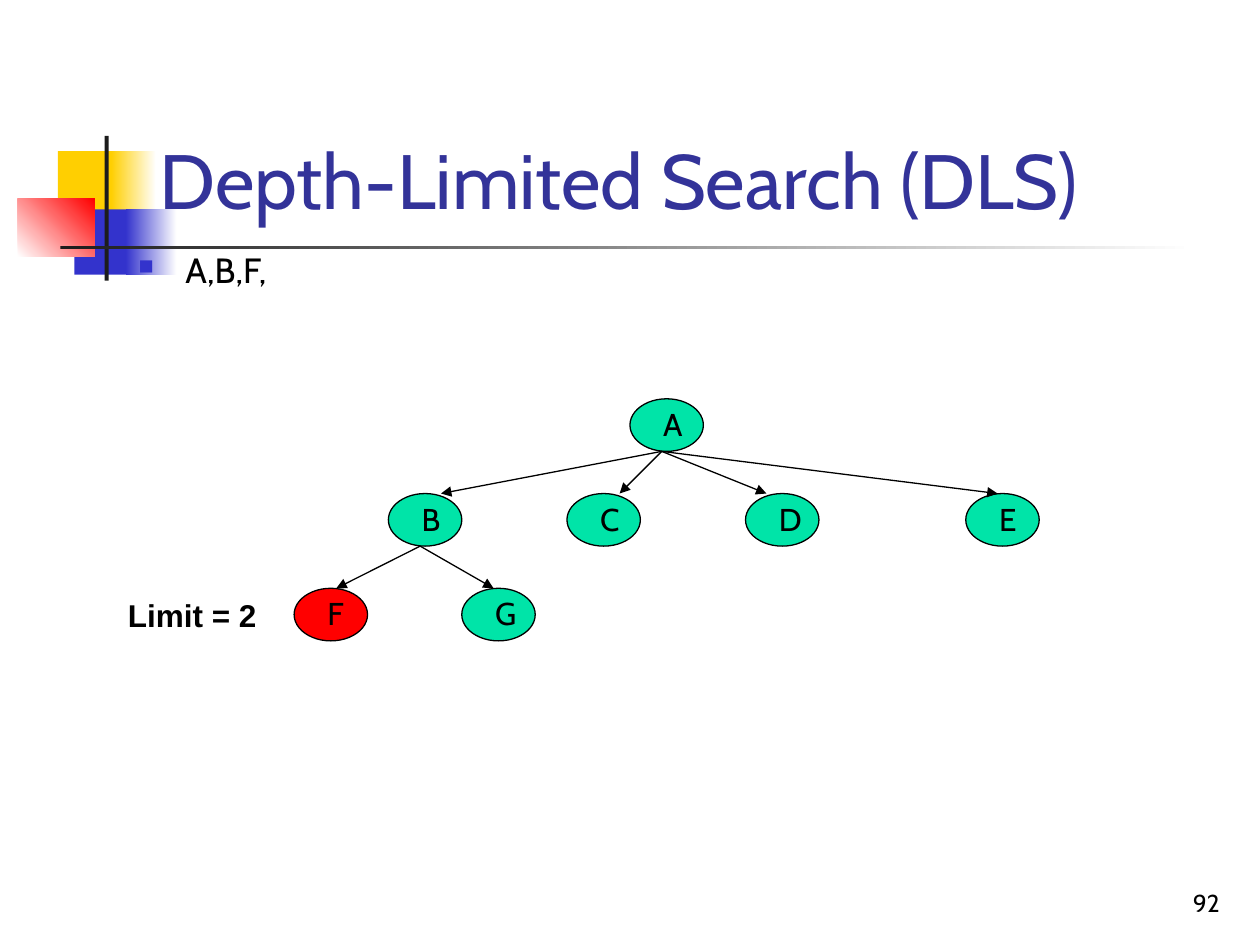
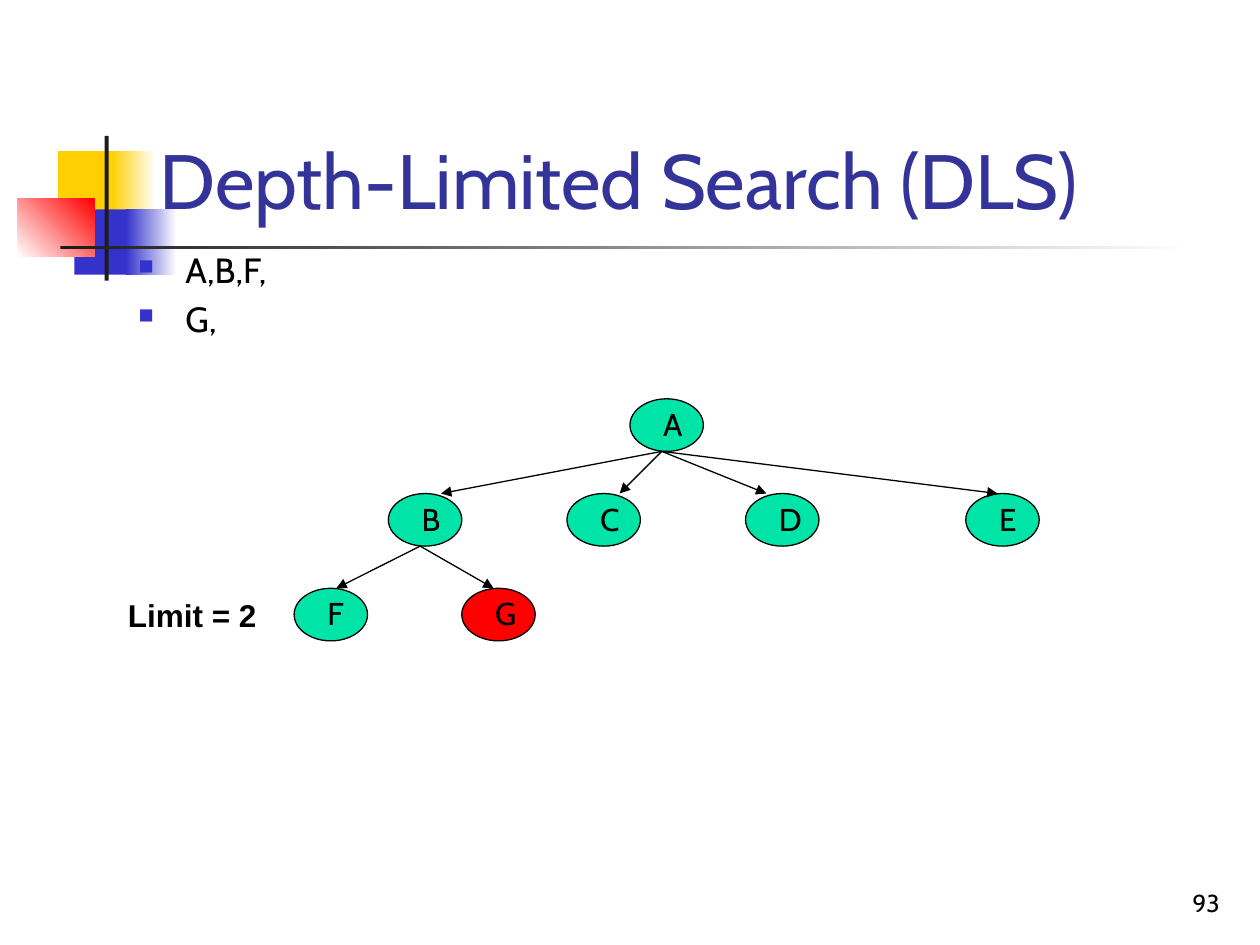
from dataclasses import dataclass
from typing import Optional

from lxml import etree
from pptx import Presentation
from pptx import util as u
from pptx.dml.color import RGBColor
from pptx.enum import shapes, text
from pptx.oxml import ns

BLACK = RGBColor(0x00, 0x00, 0x00)
WHITE = RGBColor(0xFF, 0xFF, 0xFF)
YELLOW = RGBColor(0xFF, 0xCF, 0x01)
BLUE = RGBColor(0x33, 0x33, 0xCC)
RED = RGBColor(0xFF, 0x00, 0x00)
CHARCOAL = RGBColor(0x1C, 0x1C, 0x1C)
TITLE_BLUE = RGBColor(0x33, 0x33, 0x99)
NODE_GREEN = RGBColor(0x00, 0xE4, 0xA8)

BODY_FONT = "Cabin"
LIMIT_FONT = "Arial"
HAIRLINE = u.Pt(0.75)

NODE_WIDTH, NODE_HEIGHT = u.Cm(1.48), u.Cm(1.06)
TREE_TOP, LEVEL_PITCH = u.Cm(8.04), u.Cm(1.91)
LABEL_OFFSET, LABEL_HEIGHT = u.Cm(0.42), u.Cm(1.02)
EDGE_START = u.Cm(0.64)


@dataclass(frozen=True)
class Band:
    left: float
    top: float
    width: float
    height: float
    color: RGBColor
    fade_to: Optional[RGBColor] = None
    angle: float = 0


@dataclass(frozen=True)
class Node:
    """A tree node; arrow_offset is where the arrow lands, from its left edge."""
    name: str
    left: float
    level: int
    parent: Optional[str] = None
    arrow_offset: float = 0


@dataclass(frozen=True)
class SearchStep:
    number: int
    visited: tuple[str, ...]
    current: str


BANDS = (
    Band(1.17, 3.05, 1.22, 1.32, YELLOW),
    Band(2.24, 3.05, 0.91, 1.32, YELLOW, WHITE),
    Band(1.5, 4.22, 1.17, 1.32, BLUE),
    Band(2.54, 4.22, 1.02, 1.32, BLUE, WHITE),
    Band(0.36, 4.01, 1.55, 1.17, WHITE, RED, 45),
    Band(2.11, 2.74, 0.08, 2.92, CHARCOAL),
    Band(1.22, 4.95, 22.86, 0.08, CHARCOAL, WHITE),
)

NODES = (
    Node("A", 12.7, 0),
    Node("B", 7.83, 1, "A", 1.06),
    Node("C", 11.43, 1, "A", 1.06),
    Node("D", 15.03, 1, "A", 0.42),
    Node("E", 19.47, 1, "A", 0.64),
    Node("F", 5.93, 2, "B", 0.85),
    Node("G", 9.31, 2, "B", 0.64),
)

STEPS = (
    SearchStep(92, ("A,B,F,",), "F"),
    SearchStep(93, ("A,B,F,", "G,"), "G"),
)


def add_run(paragraph, words: str, size: float, color: RGBColor = BLACK,
            font: str = BODY_FONT, bold: bool = False) -> None:
    run = paragraph.add_run()
    run.text = words
    run.font.size = u.Pt(size)
    run.font.name = font
    run.font.bold = bold
    run.font.color.rgb = color


def add_text_frame(slide, left: int, top: int, width: int, height: int):
    frame = slide.shapes.add_textbox(left, top, width, height).text_frame
    frame.word_wrap = True
    return frame


def add_band(slide, band: Band) -> None:
    shape = slide.shapes.add_shape(
        shapes.MSO_SHAPE.RECTANGLE, u.Cm(band.left), u.Cm(band.top),
        u.Cm(band.width), u.Cm(band.height))
    shape.shadow.inherit = False
    shape.line.fill.background()
    if band.fade_to is None:
        shape.fill.solid()
        shape.fill.fore_color.rgb = band.color
        return
    shape.fill.gradient()
    shape.fill.gradient_angle = band.angle
    for stop, color in zip(shape.fill.gradient_stops, (band.color, band.fade_to)):
        stop.color.rgb = color


def format_title(slide) -> None:
    title = slide.shapes.title
    title.left, title.top = u.Cm(2.96), u.Cm(1.48)
    title.width, title.height = u.Cm(21.59), u.Cm(3.18)
    frame = title.text_frame
    frame.auto_size = text.MSO_AUTO_SIZE.NONE
    frame.vertical_anchor = text.MSO_ANCHOR.BOTTOM
    paragraph = frame.paragraphs[0]
    paragraph.alignment = text.PP_ALIGN.LEFT
    add_run(paragraph, "Depth-Limited Search (DLS)", 44, TITLE_BLUE)
    # Bring the title in front of the bands.
    title.element.getparent().append(title.element)


def add_slide_number(slide, number: int) -> None:
    frame = add_text_frame(slide, u.Cm(19.56), u.Cm(17.35), u.Cm(5.28), u.Cm(1.27))
    frame.vertical_anchor = text.MSO_ANCHOR.BOTTOM
    paragraph = frame.paragraphs[0]
    paragraph.alignment = text.PP_ALIGN.RIGHT
    add_run(paragraph, str(number), 14)


def set_square_bullet(paragraph) -> None:
    properties = paragraph._p.get_or_add_pPr()
    properties.set("marL", str(u.Cm(0.95)))
    properties.set("indent", str(-u.Cm(0.95)))
    color = etree.SubElement(properties, ns.qn("a:buClr"))
    etree.SubElement(color, ns.qn("a:srgbClr"), val=str(BLUE))
    etree.SubElement(properties, ns.qn("a:buSzPct"), val="60000")
    etree.SubElement(properties, ns.qn("a:buChar"), char="■")


def add_visited_list(slide, visited: tuple[str, ...]) -> None:
    frame = add_text_frame(slide, u.Cm(2.54), u.Cm(4.88), u.Cm(21.59), u.Cm(2.34))
    for index, names in enumerate(visited):
        paragraph = frame.add_paragraph() if index else frame.paragraphs[0]
        set_square_bullet(paragraph)
        if index:
            paragraph.space_before = u.Pt(4)
        add_run(paragraph, names, 20)


def node_top(node: Node) -> int:
    return TREE_TOP + node.level * LEVEL_PITCH


def add_node(slide, node: Node, color: RGBColor) -> None:
    left, top = u.Cm(node.left), node_top(node)
    ellipse = slide.shapes.add_shape(
        shapes.MSO_SHAPE.OVAL, left, top, NODE_WIDTH, NODE_HEIGHT)
    ellipse.shadow.inherit = False
    ellipse.fill.solid()
    ellipse.fill.fore_color.rgb = color
    ellipse.line.color.rgb = BLACK
    ellipse.line.width = HAIRLINE
    frame = add_text_frame(slide, left + LABEL_OFFSET, top,
                           NODE_WIDTH - LABEL_OFFSET, LABEL_HEIGHT)
    add_run(frame.paragraphs[0], node.name, 18)


def add_edge(slide, parent: Node, child: Node) -> None:
    connector = slide.shapes.add_connector(
        shapes.MSO_CONNECTOR.STRAIGHT,
        u.Cm(parent.left) + EDGE_START, node_top(parent) + NODE_HEIGHT,
        u.Cm(child.left) + u.Cm(child.arrow_offset), node_top(child))
    connector.line.color.rgb = BLACK
    connector.line.width = HAIRLINE
    properties = connector.element.spPr
    etree.SubElement(properties.find(ns.qn("a:ln")), ns.qn("a:tailEnd"), type="triangle")
    etree.SubElement(properties, ns.qn("a:effectLst"))


def add_tree(slide, current: str) -> None:
    for node in NODES:
        add_node(slide, node, RED if node.name == current else NODE_GREEN)
    by_name = {node.name: node for node in NODES}
    for node in NODES:
        if node.parent:
            add_edge(slide, by_name[node.parent], node)


def add_limit_label(slide) -> None:
    frame = add_text_frame(slide, u.Cm(2.33), u.Cm(11.89), u.Cm(3.39), LABEL_HEIGHT)
    add_run(frame.paragraphs[0], "Limit = 2", 18, font=LIMIT_FONT, bold=True)


def add_step_slide(presentation, step: SearchStep) -> None:
    slide = presentation.slides.add_slide(presentation.slide_layouts[5])
    for band in BANDS:
        add_band(slide, band)
    add_slide_number(slide, step.number)
    format_title(slide)
    add_visited_list(slide, step.visited)
    add_tree(slide, step.current)
    add_limit_label(slide)


def main() -> None:
    presentation = Presentation()
    presentation.slide_width, presentation.slide_height = u.Cm(25.4), u.Cm(19.05)
    for step in STEPS:
        add_step_slide(presentation, step)
    presentation.save("out.pptx")


if __name__ == "__main__":
    main()
